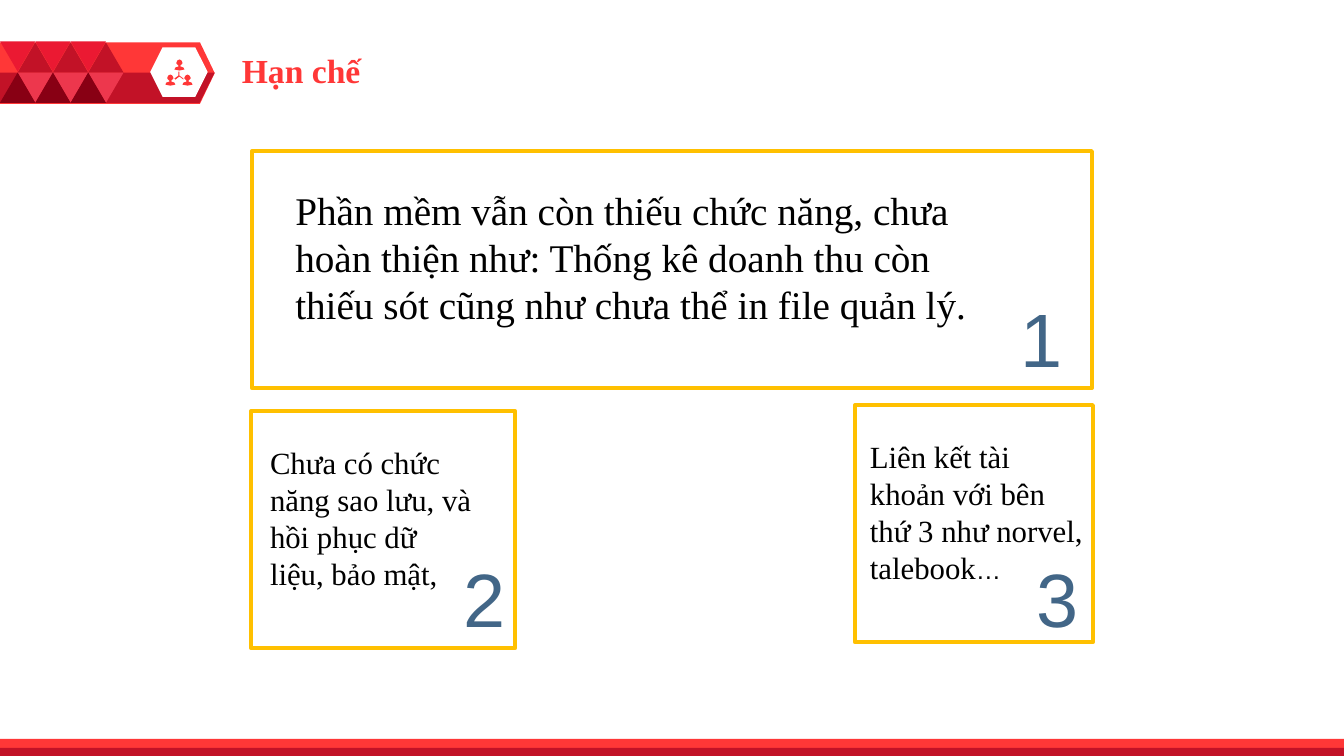
from pptx import Presentation
from pptx import util as u
from pptx.dml.color import RGBColor
from pptx.enum import shapes, text

RED = RGBColor(0xFF, 0x37, 0x37)
DARK = RGBColor(0xC2, 0x12, 0x27)
BRIGHT = RGBColor(0xEB, 0x19, 0x32)
ROSE = RGBColor(0xED, 0x37, 0x4D)
WINE = RGBColor(0x88, 0x00, 0x14)
GOLD = RGBColor(0xFF, 0xC0, 0x00)
BLUE = RGBColor(0x42, 0x66, 0x87)
BLACK = RGBColor(0, 0, 0)
WHITE = RGBColor(0xFF, 0xFF, 0xFF)
SERIF = "Times New Roman"
SANS = "Arial"
KIND = shapes.MSO_SHAPE


class Deck:
    def __init__(self):
        self.prs = Presentation()
        self.prs.slide_width = u.Inches(13.33)
        self.prs.slide_height = u.Inches(7.5)
        self.slide = self.prs.slides.add_slide(self.prs.slide_layouts[6])

    def paint(self, item, color):
        item.shadow.inherit = False
        item.fill.solid()
        item.fill.fore_color.rgb = color
        item.line.fill.background()

    def shape(self, kind, box, color, adj=None, turn=0):
        item = self.slide.shapes.add_shape(kind, *map(u.Inches, box))
        self.paint(item, color)
        item.rotation = turn
        if adj is not None:
            item.adjustments[0] = adj

    def frame(self, box):
        item = self.slide.shapes.add_shape(KIND.RECTANGLE, *map(u.Inches, box))
        item.shadow.inherit = False
        item.fill.background()
        item.line.color.rgb = GOLD
        item.line.width = u.Pt(3)

    def free(self, rings, color):
        rings = [[(u.Inches(x), u.Inches(y)) for x, y in ring] for ring in rings]
        pen = self.slide.shapes.build_freeform(*rings[0][0])
        pen.add_line_segments(rings[0][1:])
        for ring in rings[1:]:
            pen.move_to(*ring[0])
            pen.add_line_segments(ring[1:])
        self.paint(pen.convert_to_shape(), color)

    def text(self, box, words, size, color, font=SERIF, bold=False, right=False):
        item = self.slide.shapes.add_textbox(*map(u.Inches, box))
        body = item.text_frame
        body.text = words
        body.word_wrap = True
        body.auto_size = text.MSO_AUTO_SIZE.SHAPE_TO_FIT_TEXT
        para = body.paragraphs[0]
        if right:
            para.alignment = text.PP_ALIGN.RIGHT
        self.style(para.runs[0], size, color, font, bold)
        return para

    def style(self, run, size, color, font, bold=False):
        run.font.size = u.Pt(size)
        run.font.name = font
        run.font.bold = bold
        run.font.color.rgb = color


def banner(deck):
    deck.shape(KIND.PENTAGON, (0, 0.42, 2.13, 0.61), RED, 0.24)
    deck.free([[(0, 0.72), (2.13, 0.72), (1.98, 1.02), (0, 1.02), (0, 0.72)]], DARK)
    deck.shape(KIND.HEXAGON, (1.49, 0.47, 0.57, 0.49), WHITE, 0.25)

    half = [(0, 0), (0.02, 0.01), (0.03, 0.03), (0.03, 0.04), (0.01, 0.06),
            (0.01, 0.07), (0.04, 0.08), (0.05, 0.1), (0, 0.11)]
    body = half + [(-x, y) for x, y in reversed(half[:-1])]
    rings = [[(left + x, top + y) for x, y in body]
             for left, top in ((1.69, 0.74), (1.86, 0.74), (1.78, 0.59))]
    rings.append([(1.77, 0.71), (1.78, 0.71), (1.78, 0.75), (1.82, 0.78), (1.82, 0.79),
                  (1.78, 0.76), (1.74, 0.79), (1.73, 0.78), (1.77, 0.75), (1.77, 0.71)])
    deck.free(rings, RED)

    wide, high = 0.35, 0.3
    for col in range(3):
        left = col * wide
        mid = left + wide / 2
        for x, y, color, turn in ((left, 0.41, BRIGHT, 180), (mid, 0.42, DARK, 0),
                                  (mid, 0.72, ROSE, 180), (left, 0.72, WINE, 0)):
            deck.shape(KIND.ISOSCELES_TRIANGLE, (x, y, wide, high), color, turn=turn)


def main():
    deck = Deck()
    banner(deck)
    deck.shape(KIND.RECTANGLE, (0, 7.33, 13.33, 0.16), RED)
    deck.shape(KIND.RECTANGLE, (0, 7.42, 13.33, 0.08), DARK)
    deck.text((2.3, 0.45, 4.22, 0.5), "Hạn chế", 24, RED, bold=True)

    cards = [
        ((2.49, 4.08, 2.62, 2.35), (2.58, 4.35, 2.2, 1.58), 22,
         "Chưa có chức năng sao lưu, và hồi phục dữ liệu, bảo mật,"),
        ((2.5, 1.5, 8.33, 2.35), (2.83, 1.8, 6.92, 1.51), 28,
         "Phần mềm vẫn còn thiếu chức năng, chưa hoàn thiện như: "
         "Thống kê doanh thu còn thiếu sót cũng như chưa thể in file quản lý."),
        ((8.48, 4.02, 2.36, 2.35), (8.53, 4.29, 2.36, 1.95), 22,
         "Liên kết tài khoản với bên thứ 3 như norvel, talebook"),
    ]
    for edge, area, size, words in cards:
        deck.frame(edge)
        para = deck.text(area, words, size, BLACK)
    dots = para.add_run()
    dots.text = "…"
    deck.style(dots, 18, BLACK, SANS)

    for num, (left, top) in enumerate(((9, 2.85), (3.47, 5.43), (9.16, 5.43)), 1):
        deck.text((left, top, 1.64, 1.01), str(num), 54, BLUE, SANS, right=True)
    deck.prs.save("out.pptx")


if __name__ == "__main__":
    main()
